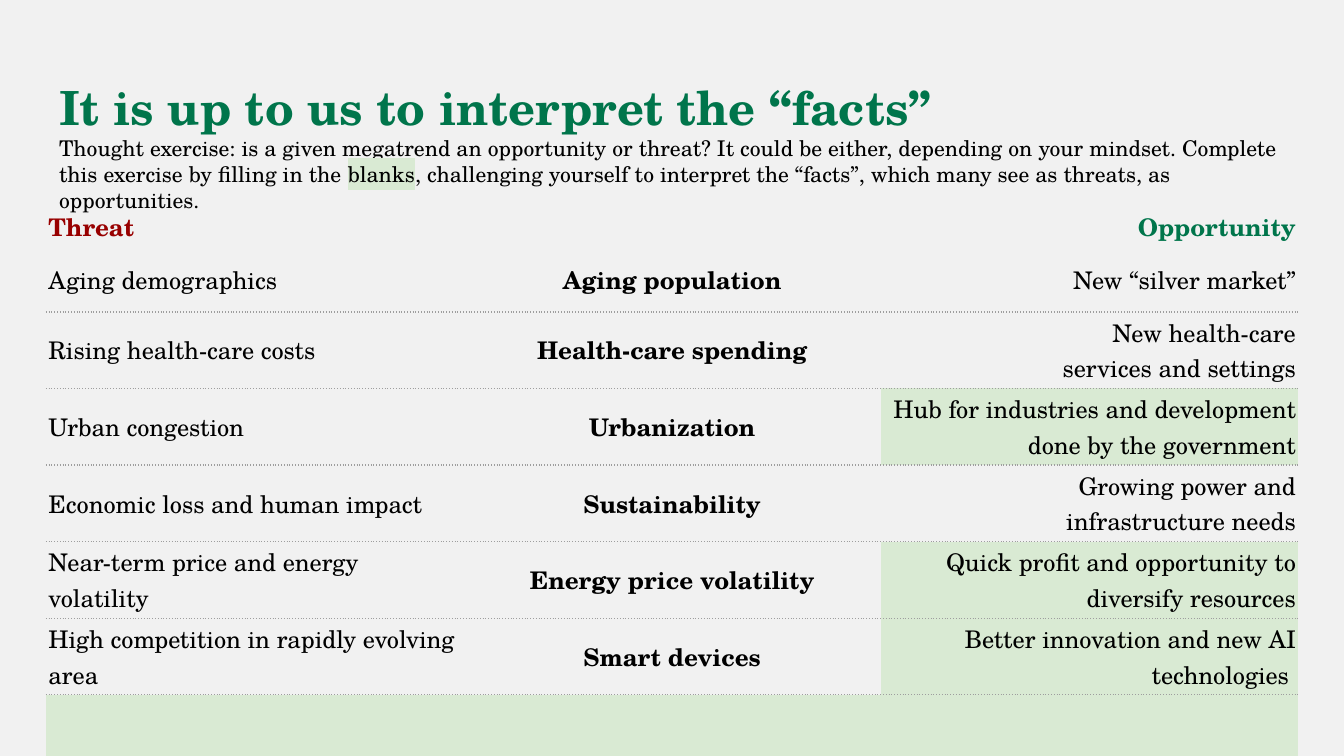
from lxml.etree import SubElement
from pptx import Presentation
from pptx.dml.color import RGBColor
from pptx.enum.text import MSO_ANCHOR, PP_ALIGN
from pptx.oxml import parse_xml
from pptx.oxml.ns import nsdecls, qn
from pptx.util import Pt

COLORS = {
    "background": "F1F1F1",
    "text": "000000",
    "opportunity": "00754B",
    "threat": "980000",
    "blank": "D9EAD3",
    "rule": "9E9E9E",
}
NO_TABLE_STYLE = "{2D5ABB26-0587-4C30-8999-92F81FD0307C}"

TITLE = "It is up to us to interpret the “facts”"
INTRO = [
    ("Thought exercise: is a given megatrend an opportunity or threat? "
     "It could be either, depending on your mindset. "
     "Complete this exercise by filling in the ", None),
    ("blanks", "blank"),
    (", challenging yourself to interpret the “facts”, "
     "which many see as threats, as opportunities.", None),
]
MEGATRENDS = [
    ("Threat", "", "Opportunity"),
    ("Aging demographics", "Aging population", "New “silver market”"),
    ("Rising health-care costs", "Health-care spending",
     "New health-care\nservices and settings"),
    ("Urban congestion", "Urbanization",
     "Hub for industries and development done by the government"),
    ("Economic loss and human impact", "Sustainability",
     "Growing power and\ninfrastructure needs"),
    ("Near-term price and energy volatility", "Energy price volatility",
     "Quick profit and opportunity to diversify resources"),
    ("High competition in rapidly evolving area", "Smart devices",
     "Better innovation and new AI technologies "),
    ("", "", ""),
]
ROW_HEIGHTS = [22.2, 34.7] + [41.04] * 5 + [32.7]
HEADER_COLORS = ["threat", "text", "opportunity"]
ALIGNMENTS = [PP_ALIGN.LEFT, PP_ALIGN.CENTER, PP_ALIGN.RIGHT]
BLANKS = {(3, 2), (5, 2), (6, 2), (7, 0), (7, 1), (7, 2)}


class SlideBuilder:
    font_name = "TeX Gyre Schola"
    cell_size = 13

    def __init__(self, slide):
        self.slide = slide
        fill = slide.background.fill
        fill.solid()
        fill.fore_color.rgb = self.color("background")

    def color(self, name):
        return RGBColor.from_string(COLORS[name])

    def style(self, font, size, color, bold=False):
        font.name = self.font_name
        font.size = Pt(size)
        font.bold = bold
        font.color.rgb = self.color(color)

    def highlight(self, run, color):
        marker = parse_xml(
            f'<a:highlight {nsdecls("a")}><a:srgbClr val="{COLORS[color]}"/></a:highlight>')
        run.font._element.find(qn("a:solidFill")).addnext(marker)

    def heading(self, left, top, width, height, title, intro):
        frame = self.slide.shapes.add_textbox(
            Pt(left), Pt(top), Pt(width), Pt(height)).text_frame
        frame.word_wrap = True
        frame.margin_left = frame.margin_right = Pt(7.2)
        frame.margin_top = frame.margin_bottom = Pt(7.2)
        frame.text = title
        self.style(frame.paragraphs[0].runs[0].font, 25.2, "opportunity", True)
        exercise = frame.add_paragraph()
        for words, marker in intro:
            run = exercise.add_run()
            run.text = words
            self.style(run.font, 11.6, "text")
            if marker:
                self.highlight(run, marker)

    def rule_below(self, cell):
        line = parse_xml(
            f'<a:lnB {nsdecls("a")} w="{Pt(0.75)}"><a:solidFill>'
            f'<a:srgbClr val="{COLORS["rule"]}"/></a:solidFill></a:lnB>')
        SubElement(line, qn("a:prstDash"), val="dot")
        cell._tc.get_or_add_tcPr().insert(0, line)

    def cell(self, cell, text, alignment, color, bold, is_blank):
        cell.vertical_anchor = MSO_ANCHOR.MIDDLE
        cell.margin_left = cell.margin_right = Pt(1.44)
        cell.margin_top = cell.margin_bottom = Pt(1.44)
        if is_blank:
            cell.fill.solid()
            cell.fill.fore_color.rgb = self.color("blank")
        else:
            cell.fill.background()
        cell.text_frame.text = text
        for paragraph in cell.text_frame.paragraphs:
            paragraph.alignment = alignment
            for run in paragraph.runs:
                self.style(run.font, self.cell_size, color, bold)
            if not paragraph.runs:
                SubElement(paragraph._p, qn("a:endParaRPr"), sz=str(self.cell_size * 100))

    def table(self, left, top, width, rows, heights):
        table = self.slide.shapes.add_table(
            len(rows), len(rows[0]), Pt(left), Pt(top), Pt(width), Pt(sum(heights))).table
        table.first_row = table.horz_banding = False
        table._tbl.tblPr.find(qn("a:tableStyleId")).text = NO_TABLE_STYLE
        for column in table.columns:
            column.width = Pt(width / len(rows[0]))
        for row_index, (row, height) in enumerate(zip(rows, heights)):
            table.rows[row_index].height = Pt(height)
            is_header = row_index == 0
            for column_index, text in enumerate(row):
                cell = table.cell(row_index, column_index)
                self.cell(cell, text, ALIGNMENTS[column_index],
                          HEADER_COLORS[column_index] if is_header else "text",
                          is_header or column_index == 1,
                          (row_index, column_index) in BLANKS)
                if 0 < row_index < len(rows) - 1:
                    self.rule_below(cell)


def main():
    presentation = Presentation()
    presentation.slide_width = Pt(720)
    presentation.slide_height = Pt(405)
    builder = SlideBuilder(presentation.slides.add_slide(presentation.slide_layouts[6]))
    builder.heading(24.55, 34.8, 671, 45.4, TITLE, INTRO)
    builder.table(24.55, 110.2, 671, MEGATRENDS, ROW_HEIGHTS)
    presentation.save("out.pptx")


if __name__ == "__main__":
    main()
